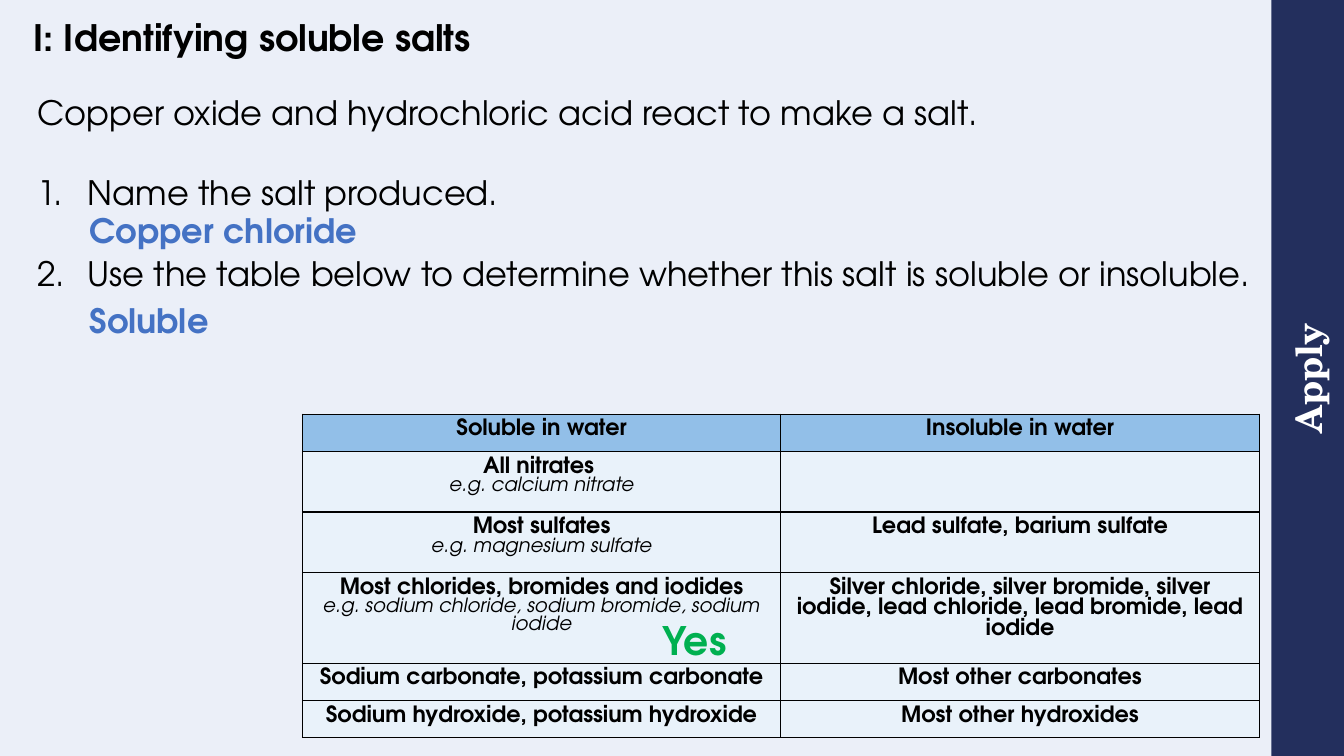
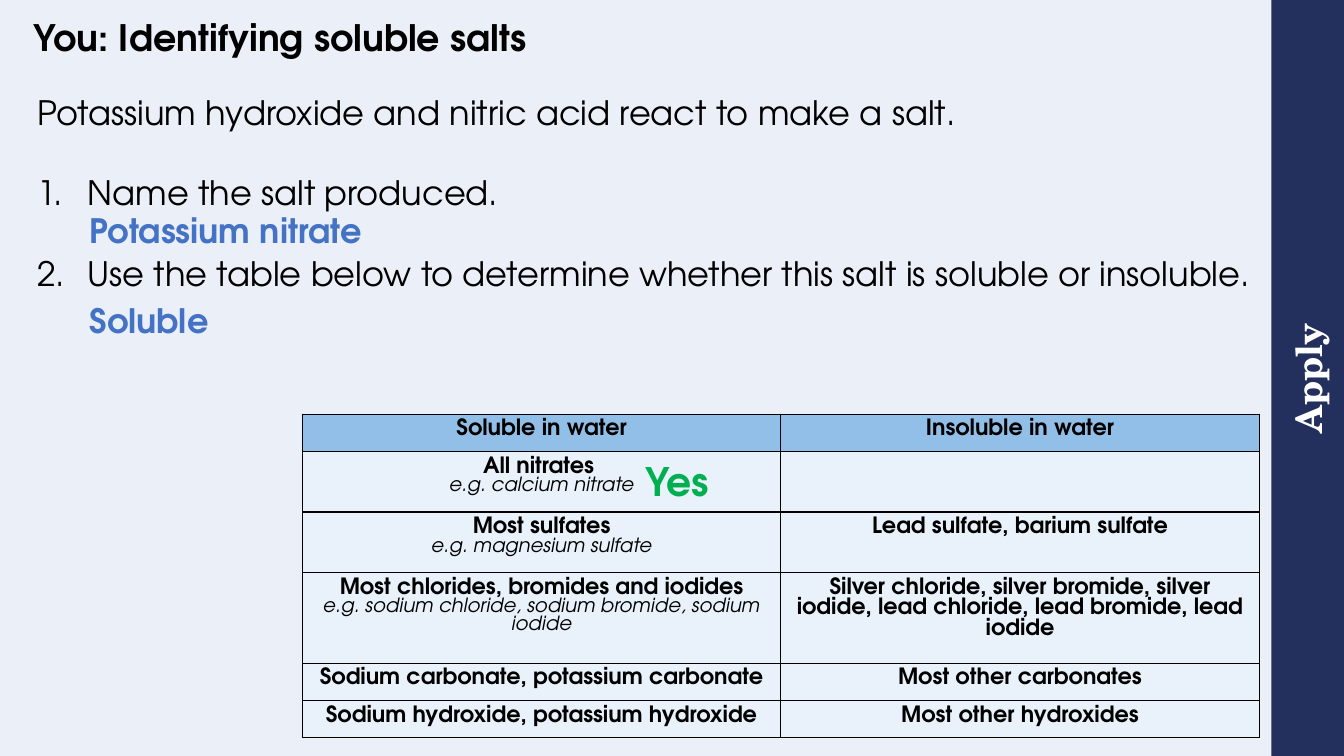
"""Build two practice slides on identifying soluble salts."""
from dataclasses import dataclass

from lxml.etree import SubElement
from pptx import Presentation
from pptx.dml.color import RGBColor
from pptx.enum.shapes import MSO_SHAPE
from pptx.enum.text import MSO_ANCHOR, MSO_AUTO_SIZE, PP_ALIGN
from pptx.oxml.ns import qn
from pptx.util import Inches, Pt


@dataclass(frozen=True)
class Theme:
    """Hold the colours, fonts and type sizes."""
    font: str = "TeX Gyre Adventor"
    serif: str = "TeX Gyre Schola"
    back: str = "EBEFF8"
    navy: str = "232F5D"
    white: str = "FFFFFF"
    ink: str = "000000"
    blue: str = "4472C4"
    green: str = "00B050"
    head: str = "92BFE8"
    cell: str = "E9F2FA"
    title: int = 26
    body: int = 24
    mark: int = 28
    term: int = 16
    note: int = 14


THEME = Theme()
WIDTH, HEIGHT, BAND = 13.33, 7.5, 0.72
TASKS = (
    "Name the salt produced.",
    "Use the table below to determine whether this salt is soluble or insoluble.",
)
ROWS = (
    (0.37, "Soluble in water", "Insoluble in water"),
    (0.6, "All nitrates \ne.g. calcium nitrate", ""),
    (0.6, "Most sulfates\ne.g. magnesium sulfate", "Lead sulfate, barium sulfate"),
    (0.9, "Most chlorides, bromides and iodides\n"
          "e.g. sodium chloride, sodium bromide, sodium iodide",
     "Silver chloride, silver bromide, silver iodide, "
     "lead chloride, lead bromide, lead iodide"),
    (0.37, "Sodium carbonate, potassium carbonate", "Most other carbonates"),
    (0.37, "Sodium hydroxide, potassium hydroxide", "Most other hydroxides"),
)
SLIDES = (
    ("I: Identifying soluble salts",
     "Copper oxide and hydrochloric acid react to make a salt.",
     "Copper chloride", (6.47, 6.07)),
    ("You: Identifying soluble salts",
     "Potassium hydroxide and nitric acid react to make a salt.",
     "Potassium nitrate", (6.3, 4.49)),
)


def style(para, size, color=THEME.ink, bold=False, italic=False, font=THEME.font):
    """Format every run of a paragraph."""
    for run in para.runs:
        run.font.name = font
        run.font.size = Pt(size)
        run.font.bold = bold
        run.font.italic = italic
        run.font.color.rgb = RGBColor.from_string(color)


def paint(fill, color):
    """Give a fill one solid colour."""
    fill.solid()
    fill.fore_color.rgb = RGBColor.from_string(color)


def add_frame(slide):
    """Put the background and the side band on the slide's layout."""
    layout = slide.slide_layout
    paint(layout.background.fill, THEME.back)
    left = WIDTH - (HEIGHT + BAND) / 2
    top = (HEIGHT - BAND) / 2
    band = slide.shapes.add_shape(
        MSO_SHAPE.RECTANGLE, Inches(left), Inches(top), Inches(HEIGHT), Inches(BAND))
    band.rotation = 270
    band.shadow.inherit = False
    paint(band.fill, THEME.navy)
    band.line.fill.background()
    frame = band.text_frame
    frame.margin_left = frame.margin_right = frame.margin_top = frame.margin_bottom = 0
    frame.vertical_anchor = MSO_ANCHOR.MIDDLE
    frame.text = "Apply"
    para = frame.paragraphs[0]
    para.alignment = PP_ALIGN.CENTER
    style(para, THEME.title, THEME.white, bold=True, font=THEME.serif)
    layout.element.cSld.spTree.append(band.element)


def set_title(slide, text):
    """Place and format the title placeholder."""
    title = slide.shapes.title
    title.left, title.top = Inches(0.23), Inches(0)
    title.width, title.height = Inches(11.61), Inches(0.79)
    frame = title.text_frame
    frame.text = text
    frame.auto_size = MSO_AUTO_SIZE.NONE
    frame.vertical_anchor = MSO_ANCHOR.MIDDLE
    para = frame.paragraphs[0]
    para.alignment = PP_ALIGN.LEFT
    para.line_spacing = 0.9
    style(para, THEME.title, bold=True)


def add_text(slide, text, left, top, width, height):
    """Add a wrapping text box and return its text frame."""
    box = slide.shapes.add_textbox(
        Inches(left), Inches(top), Inches(width), Inches(height))
    frame = box.text_frame
    frame.word_wrap = True
    frame.text = text
    return frame


def add_label(slide, text, left, top, width, size, color):
    """Add a short bold answer."""
    frame = add_text(slide, text, left, top, width, 0.5)
    style(frame.paragraphs[0], size, color, bold=True)


def add_tasks(slide, intro):
    """Add the opening sentence and the numbered tasks."""
    frame = add_text(slide, "\n".join((intro, *TASKS)), 0.27, 0.86, 12.4, 2.12)
    for para in frame.paragraphs[1:]:
        props = para._p.get_or_add_pPr()
        props.set("marL", str(Inches(0.5)))
        props.set("indent", str(Inches(-0.5)))
        SubElement(props, qn("a:buFont"), typeface="+mj-lt")
        SubElement(props, qn("a:buAutoNum"), type="arabicPeriod")
        para.space_before = Pt(28.8)
    for para in frame.paragraphs:
        style(para, THEME.body)


def set_edges(cell):
    """Draw a thin line on all four sides of a cell."""
    props = cell._tc.get_or_add_tcPr()
    for side in ("lnL", "lnR", "lnT", "lnB"):
        line = SubElement(props, qn(f"a:{side}"), w=str(Pt(1)))
        fill = SubElement(line, qn("a:solidFill"))
        SubElement(fill, qn("a:srgbClr"), val=THEME.ink)


def set_cell(cell, text, color):
    """Fill a cell with a bold term and an italic example below it."""
    set_edges(cell)
    paint(cell.fill, color)
    cell.text = text
    for index, para in enumerate(cell.text_frame.paragraphs):
        para.alignment = PP_ALIGN.CENTER
        size = THEME.note if index else THEME.term
        style(para, size, bold=index == 0, italic=index > 0)


def add_grid(slide):
    """Add the solubility table."""
    total = sum(row[0] for row in ROWS)
    shape = slide.shapes.add_table(
        len(ROWS), 2, Inches(3), Inches(4.11), Inches(9.49), Inches(total))
    table = shape.table
    table.horz_banding = False
    for index, (height, *texts) in enumerate(ROWS):
        table.rows[index].height = Inches(height)
        color = THEME.cell if index else THEME.head
        for col, text in enumerate(texts):
            set_cell(table.cell(index, col), text, color)


def main():
    """Build and save the deck."""
    deck = Presentation()
    deck.slide_width, deck.slide_height = Inches(WIDTH), Inches(HEIGHT)
    for index, (title, intro, salt, spot) in enumerate(SLIDES):
        slide = deck.slides.add_slide(deck.slide_layouts[5])
        if index == 0:
            add_frame(slide)
        set_title(slide, title)
        add_tasks(slide, intro)
        add_grid(slide)
        add_label(slide, salt, 0.79, 2.03, 8.36, THEME.body, THEME.blue)
        add_label(slide, "Soluble", 0.79, 2.93, 1.7, THEME.body, THEME.blue)
        add_label(slide, "Yes", *spot, 1, THEME.mark, THEME.green)
    deck.save("out.pptx")


if __name__ == "__main__":
    main()
